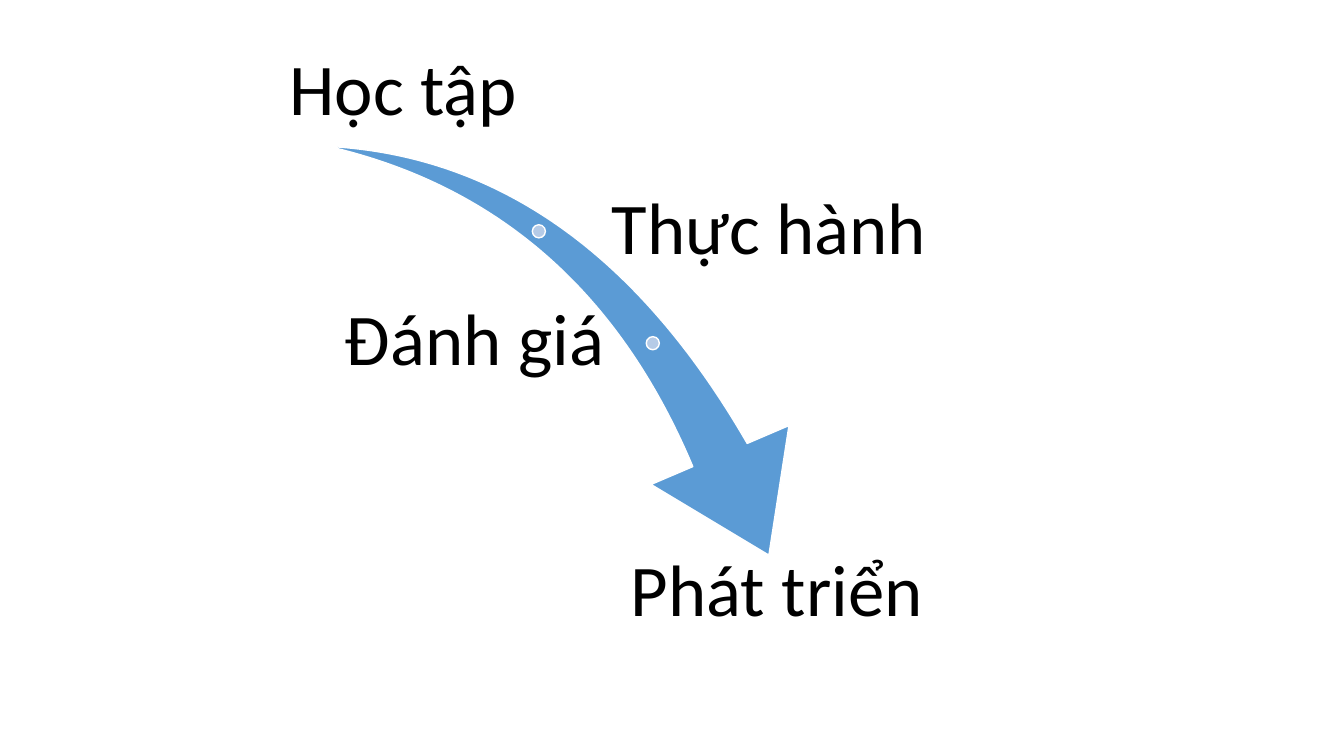
from dataclasses import dataclass

from pptx import Presentation
from pptx.dml.color import RGBColor as Color
from pptx.enum.shapes import MSO_SHAPE as Shape
from pptx.enum.text import MSO_ANCHOR as Anchor, PP_ALIGN as Align
from pptx.util import Emu, Pt

PX = 9144  # EMU per px, 100 px to the inch


@dataclass(frozen=True)
class Theme:
    arrow: Color = Color(0x5B, 0x9B, 0xD5)
    dot: Color = Color(0xB5, 0xCB, 0xE7)
    outline: Color = Color(0xFF, 0xFF, 0xFF)
    text: Color = Color(0, 0, 0)
    font: str = "Calibri"
    label_size: int = 52
    line_width: int = 1


THEME = Theme()


def px(*lengths):
    return [Emu(length * PX) for length in lengths]


def add_filled(group, kind, bounds, fill):
    shape = group.shapes.add_shape(kind, *px(*bounds))
    shape.shadow.inherit = False
    shape.fill.solid()
    shape.fill.fore_color.rgb = fill
    shape.line.color.rgb = THEME.outline
    shape.line.width = Pt(THEME.line_width)
    return shape


def add_swoosh(group, bounds, angle, thickness, head):
    arrow = add_filled(group, Shape.SWOOSH_ARROW, bounds, THEME.arrow)
    arrow.rotation = angle
    arrow.adjustments[0] = thickness
    arrow.adjustments[1] = head


def add_dot(group, left, top, size=13):
    add_filled(group, Shape.OVAL, (left, top, size, size), THEME.dot)


def add_label(group, text, bounds, align, anchor):
    box = group.shapes.add_textbox(*px(*bounds))
    frame = box.text_frame
    frame.word_wrap = True
    frame.vertical_anchor = anchor
    inset, = px(7)
    frame.margin_left = frame.margin_right = inset
    frame.margin_top = frame.margin_bottom = inset
    frame.text = text
    para = frame.paragraphs[0]
    para.alignment = align
    para.line_spacing = 0.9
    font = para.runs[0].font
    font.name = THEME.font
    font.size = Pt(THEME.label_size)
    font.color.rgb = THEME.text


def main():
    deck = Presentation()
    deck.slide_width, deck.slide_height = px(1333, 750)
    page = deck.slides.add_slide(deck.slide_layouts[6])
    diagram = page.shapes.add_group_shape()

    # Curved arrow with its two milestones
    add_swoosh(diagram, (314, 161, 514, 358), 73.3, 0.163, 0.314)
    for left, top in ((528, 223), (641, 334)):
        add_dot(diagram, left, top)

    # Stage labels along the arrow
    stages = (
        ("Học tập", (279, 42, 242, 95), Align.CENTER, Anchor.BOTTOM),
        ("Thực hành", (600, 182, 334, 95), Align.LEFT, Anchor.MIDDLE),
        ("Đánh giá", (279, 292, 327, 95), Align.RIGHT, Anchor.MIDDLE),
        ("Phát triển", (607, 542, 327, 95), Align.CENTER, Anchor.TOP),
    )
    for stage in stages:
        add_label(diagram, *stage)

    deck.save("out.pptx")


if __name__ == "__main__":
    main()
